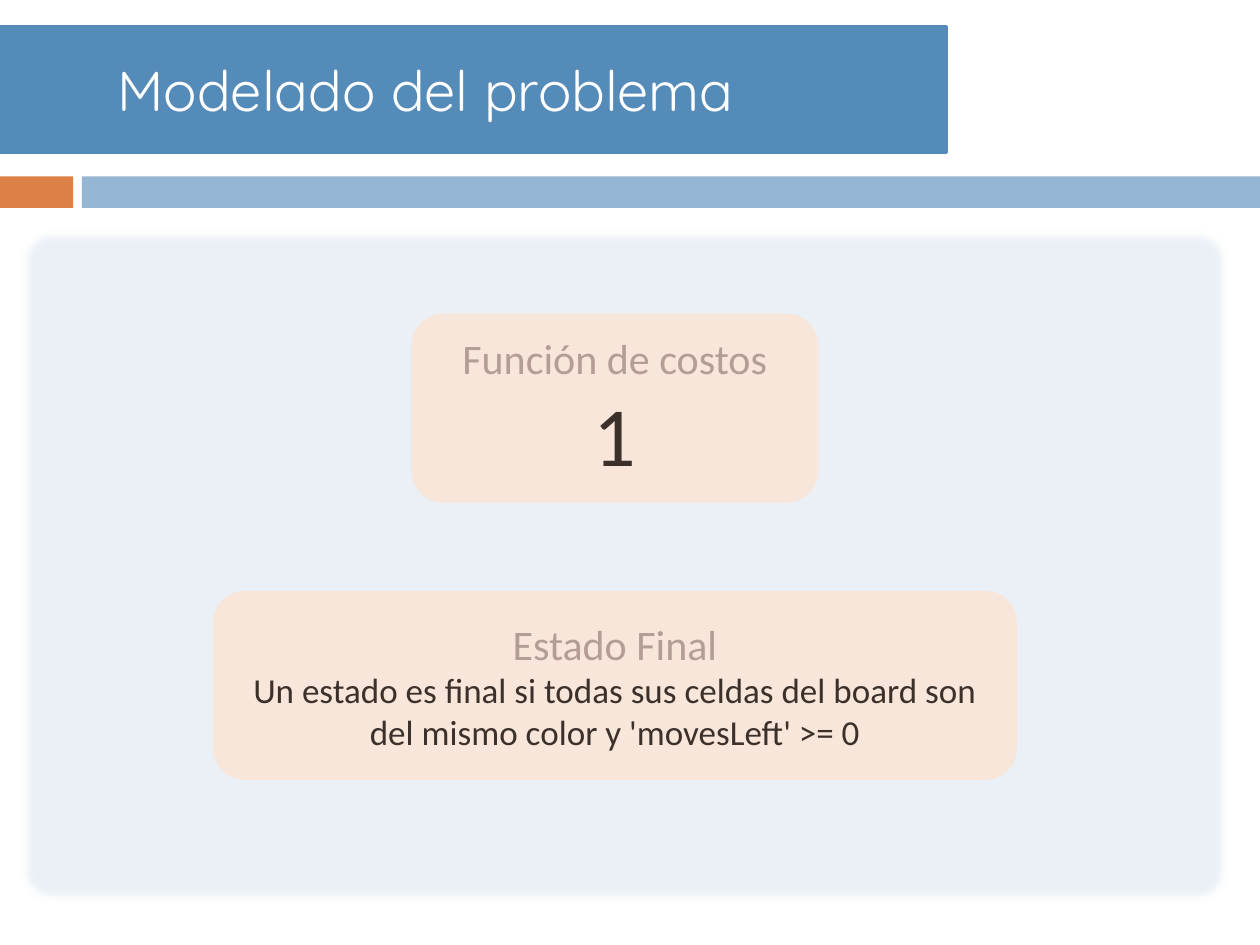
from dataclasses import dataclass

from lxml.etree import SubElement
from pptx import Presentation
from pptx.dml.color import RGBColor
from pptx.enum.shapes import MSO_SHAPE
from pptx.enum.text import MSO_ANCHOR, PP_ALIGN
from pptx.oxml.ns import qn
from pptx.util import Inches, Pt


@dataclass(frozen=True)
class Theme:
    banner: str = "558BB8"
    accent: str = "DD8047"
    rule: str = "94B6D2"
    panel: str = "EAF0F6"
    card: str = "F8E6DA"
    light: str = "FFFFFF"
    muted: str = "B39D94"
    dark: str = "3C302A"
    title_font: str = "Quicksand"
    body_font: str = "Calibri"
    title_size: int = 32
    heading_size: int = 24
    value_size: int = 48
    text_size: int = 20


THEME = Theme()
WIDTH, HEIGHT = 10, 7.5
SOFT_EDGE = Pt(5)


def place(shape, box):
    for name, value in zip(("left", "top", "width", "height"), box):
        setattr(shape, name, Inches(value))


def paint(shape, color):
    shape.fill.solid()
    shape.fill.fore_color.rgb = RGBColor.from_string(color)


def add_block(page, kind, box, color):
    """Add a flat shape without outline or shadow."""
    block = page.shapes.add_shape(kind, *map(Inches, box))
    paint(block, color)
    block.line.fill.background()
    block.shadow.inherit = False
    return block


def write(shape, lines, font):
    """Centre (text, size, color) lines in a shape, one paragraph each."""
    frame = shape.text_frame
    frame.word_wrap = True
    frame.vertical_anchor = MSO_ANCHOR.MIDDLE
    frame.text = "\n".join(text for text, _, _ in lines)
    for para, (_, size, color) in zip(frame.paragraphs, lines):
        para.alignment = PP_ALIGN.CENTER
        span = para.runs[0]
        for name, value in {"name": font, "size": Pt(size), "bold": False}.items():
            setattr(span.font, name, value)
        span.font.color.rgb = RGBColor.from_string(color)


def add_banner(page, box, text):
    """Turn the title placeholder into a rounded banner."""
    title = page.shapes.title
    place(title, box)
    outline = SubElement(title.element.spPr, qn("a:prstGeom"), prst="roundRect")
    SubElement(outline, qn("a:avLst"))
    paint(title, THEME.banner)
    title.line.color.rgb = RGBColor.from_string(THEME.banner)
    title.line.width = Pt(1.5)
    write(title, [(text, THEME.title_size, THEME.light)], THEME.title_font)


def add_rule(page, box, accent_width, gap):
    """Split a band into a short accent and a long rule."""
    left, top, width, height = box
    start = accent_width + gap
    add_block(page, MSO_SHAPE.RECTANGLE, (left, top, accent_width, height), THEME.accent)
    add_block(page, MSO_SHAPE.RECTANGLE,
              (left + start, top, width - start, height), THEME.rule)


def add_card(page, box, heading, text, size):
    card = add_block(page, MSO_SHAPE.ROUNDED_RECTANGLE, box, THEME.card)
    write(card, [(heading, THEME.heading_size, THEME.muted),
                 (text, size, THEME.dark)], THEME.body_font)


def add_panel(page, box, cards):
    """Draw a soft-edged panel with centred cards spaced down it."""
    left, top, width, height = box
    panel = add_block(page, MSO_SHAPE.ROUNDED_RECTANGLE, box, THEME.panel)
    panel.adjustments[0] = 0.04
    effects = panel.element.spPr.find(qn("a:effectLst"))
    SubElement(effects, qn("a:softEdge"), rad=str(SOFT_EDGE))

    card_height, pitch, first = 1.5, 2.2, top + 0.66
    center = left + width / 2 - 0.08
    for row, (card_width, *content) in enumerate(cards):
        card_box = (center - card_width / 2, first + row * pitch, card_width, card_height)
        add_card(page, card_box, *content)


def main():
    deck = Presentation()
    deck.slide_width, deck.slide_height = Inches(WIDTH), Inches(HEIGHT)
    page = deck.slides.add_slide(deck.slide_layouts[5])
    add_rule(page, (0, 1.4, WIDTH, 0.25), accent_width=0.58, gap=0.07)
    add_banner(page, (-0.75, 0.21, 8.26, 1), "Modelado del problema")
    add_panel(page, (0.17, 1.83, 9.58, 5.33), [
        (3.23, "Función de costos", "1", THEME.value_size),
        (6.38, "Estado Final",
         "Un estado es final si todas sus celdas del board son del mismo color "
         "y 'movesLeft' >= 0", THEME.text_size),
    ])
    deck.save("out.pptx")


if __name__ == "__main__":
    main()
